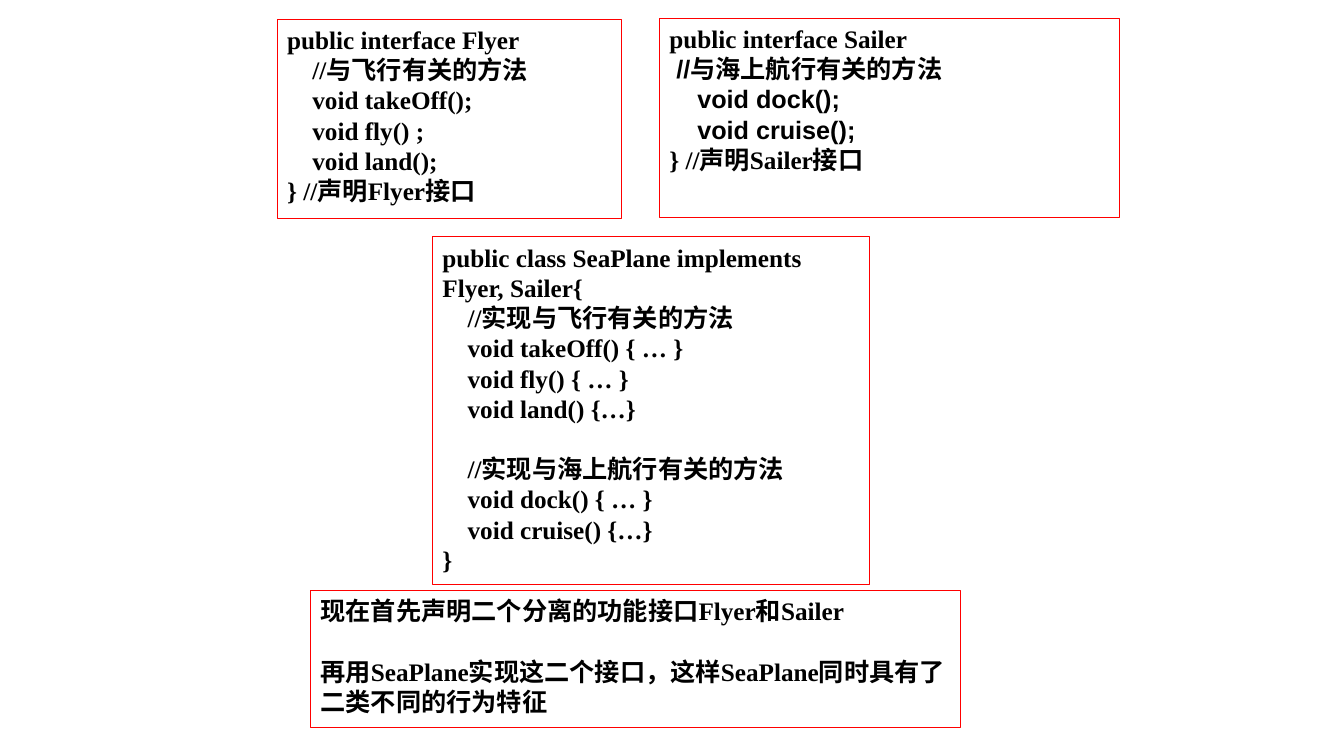
from pptx import Presentation
from pptx.dml.color import RGBColor
from pptx.enum.shapes import MSO_SHAPE
from pptx.enum.text import MSO_ANCHOR, PP_ALIGN
from pptx.util import Inches, Pt

RECT = MSO_SHAPE.RECTANGLE
TOP, LEFT = MSO_ANCHOR.TOP, PP_ALIGN.LEFT
WHITE = RGBColor(0xFF, 0xFF, 0xFF)
BLACK = RGBColor(0, 0, 0)
RED = RGBColor(0xFF, 0, 0)
SERIF, SANS = "Times New Roman", "Arial"
SIZE = Pt(18)
GAP = Pt(21.6)  # one line of text

# Content: place (left, top, width, height), lines, lines set in sans,
# lines that open a new group
PANELS = [
    ((4.29, 2.35, 4.33, 3.45), [
        "public class SeaPlane implements Flyer, Sailer{",
        "    //实现与飞行有关的方法",
        "    void takeOff() { … }",
        "    void fly() { … }",
        "    void land() {…}",
        "    //实现与海上航行有关的方法",
        "    void dock() { … }",
        "    void cruise() {…}",
        "}",
    ], (), (5,)),
    ((2.75, 0.19, 3.41, 1.98), [
        "public interface Flyer",
        "    //与飞行有关的方法",
        "    void takeOff();",
        "    void fly() ;",
        "    void land();",
        "} //声明Flyer接口",
    ], (), ()),
    ((6.54, 0.18, 4.56, 1.98), [
        "public interface Sailer",
        " //与海上航行有关的方法",
        "    void dock();",
        "    void cruise();",
        "} //声明Sailer接口",
    ], (1, 2, 3), ()),
    ((3.08, 5.86, 6.45, 1.36), [
        "现在首先声明二个分离的功能接口Flyer和Sailer",
        "再用SeaPlane实现这二个接口，这样SeaPlane同时具有了二类不同的行为特征",
    ], (), (1,)),
]


def add_panel(slide, place, lines, sans, opens):
    box = slide.shapes.add_shape(RECT, *(Inches(n) for n in place))
    box.shadow.inherit = False
    box.fill.solid()
    box.fill.fore_color.rgb = WHITE
    box.line.color.rgb = RED
    box.line.width = Pt(0.75)
    frame = box.text_frame
    frame.word_wrap = True
    frame.vertical_anchor = TOP
    for i, line in enumerate(lines):
        para = frame.add_paragraph() if i else frame.paragraphs[0]
        para.alignment = LEFT
        if i in opens:
            para.space_before = GAP
        run = para.add_run()
        run.text = line
        font = run.font
        font.name = SANS if i in sans else SERIF
        font.size = SIZE
        font.bold = True
        font.color.rgb = BLACK


def main():
    deck = Presentation()
    deck.slide_width, deck.slide_height = Inches(13.33), Inches(7.5)
    slide = deck.slides.add_slide(deck.slide_layouts[6])
    for panel in PANELS:
        add_panel(slide, *panel)
    deck.save("out.pptx")


if __name__ == "__main__":
    main()
